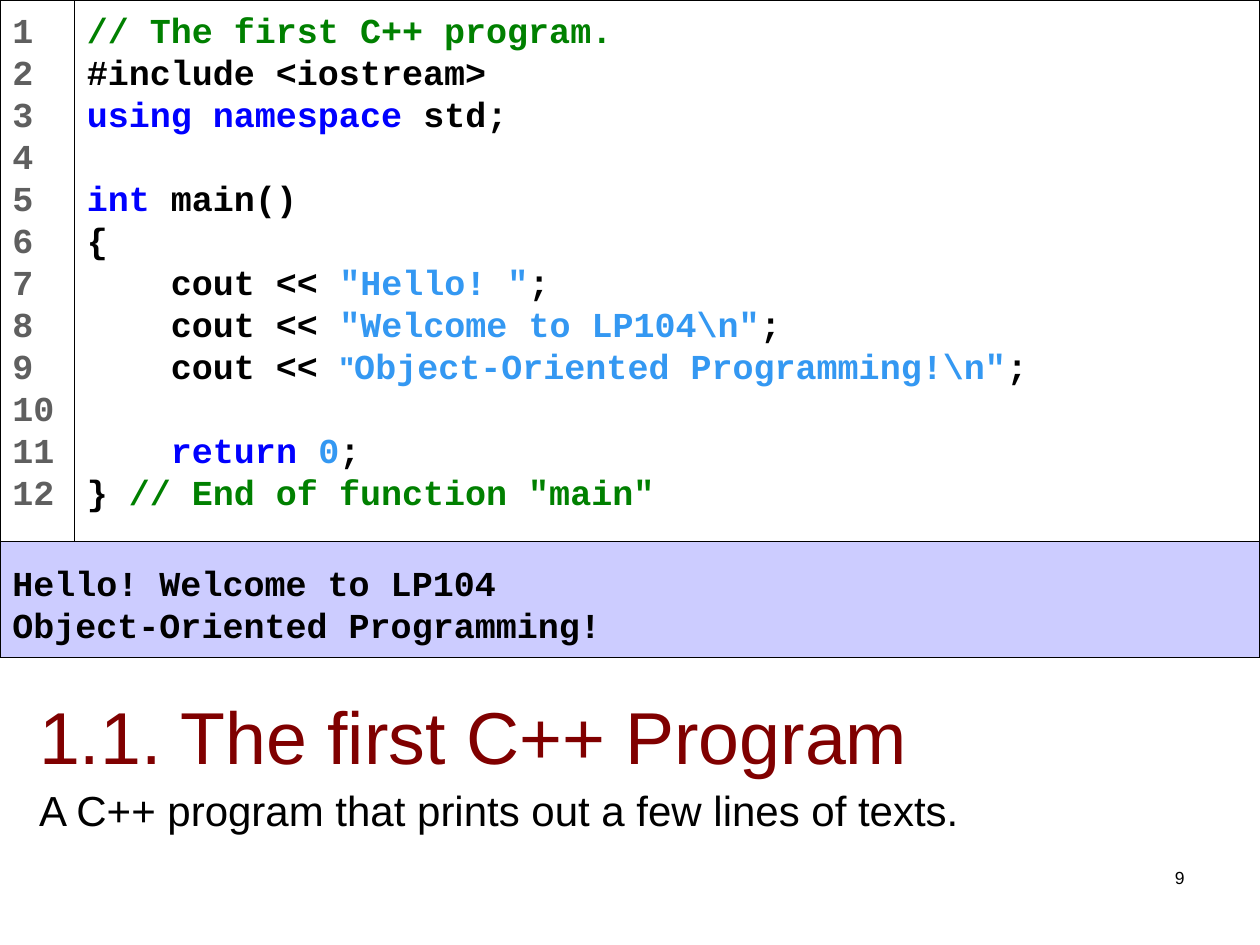
from lxml import etree
from pptx import Presentation
from pptx.dml.color import RGBColor
from pptx.enum.shapes import MSO_SHAPE
from pptx.enum.text import MSO_ANCHOR, PP_ALIGN
from pptx.oxml.ns import qn
from pptx.util import Inches, Pt

RECTANGLE = MSO_SHAPE.RECTANGLE
TOP = MSO_ANCHOR.TOP
LEFT, RIGHT = PP_ALIGN.LEFT, PP_ALIGN.RIGHT

BLACK = RGBColor(0, 0, 0)
WHITE = RGBColor(255, 255, 255)
GREEN = RGBColor(0, 0x80, 0)
BLUE = RGBColor(0, 0, 255)
SKY = RGBColor(0x34, 0x98, 0xF2)
GRAY = RGBColor(0x5F, 0x5F, 0x5F)
LAVENDER = RGBColor(0xCC, 0xCC, 0xFF)
MAROON = RGBColor(0x80, 0, 0)

PAGE_WIDTH, PAGE_HEIGHT = 10, 7.5
GUTTER = 0.59
CODE_HEIGHT, OUTPUT_HEIGHT = 4.3, 0.92

CODE = [
    [("// The first C++ program.", GREEN)],
    [("#include <iostream>", BLACK)],
    [("using namespace", BLUE), (" std;", BLACK)],
    [],
    [("int", BLUE), (" main()", BLACK)],
    [("{", BLACK)],
    [("    cout << ", BLACK), ('"Hello! "', SKY), (";", BLACK)],
    [("    cout << ", BLACK), ('"Welcome to LP104\\n"', SKY), (";", BLACK)],
    [("    cout << ", BLACK), ('"', SKY, "Arial", 18),
     ('Object-Oriented Programming!\\n"', SKY), (";", BLACK)],
    [],
    [("    ", BLACK), ("return ", BLUE), ("0", SKY), (";", BLACK)],
    [("} ", BLACK), ('// End of function "main"', GREEN)],
]
OUTPUT = ["Hello! Welcome to LP104", "Object-Oriented Programming!"]


def set_font(font, name, size, color=BLACK, bold=False):
    font.name, font.size, font.bold = name, Pt(size), bold
    font.color.rgb = color


def set_frame(frame, left=0.1, top=0.05, right=0.1, bottom=0.05):
    frame.word_wrap = True
    frame.vertical_anchor = TOP
    frame.margin_left, frame.margin_top = Inches(left), Inches(top)
    frame.margin_right, frame.margin_bottom = Inches(right), Inches(bottom)


def add_paragraph(frame, index):
    return frame.add_paragraph() if index else frame.paragraphs[0]


def add_listing(slide, box, lines, fill, color=BLACK, **margins):
    """Draw a framed panel of monospaced lines, each a list of spans."""
    panel = slide.shapes.add_shape(RECTANGLE, *map(Inches, box))
    panel.shadow.inherit = False
    panel.fill.solid()
    panel.fill.fore_color.rgb = fill
    panel.line.color.rgb = BLACK
    panel.line.width = Pt(0.75)
    set_frame(panel.text_frame, **margins)
    for index, line in enumerate(lines):
        para = add_paragraph(panel.text_frame, index)
        para.alignment = LEFT
        para.line_spacing = Pt(24)
        set_font(para.font, "Courier New", 20, color, True)
        for text, span_color, *face in line:
            span = para.add_run()
            span.text = text
            span.font.color.rgb = span_color
            if face:
                span.font.name, span.font.size = face[0], Pt(face[1])


def add_program(slide, left, top, width):
    """Stack numbered source code above the output it prints."""
    numbers = [[(str(number), GRAY)] for number in range(1, len(CODE) + 1)]
    output = [[(text, BLACK)] for text in OUTPUT]
    add_listing(slide, (left + GUTTER, top, width - GUTTER, CODE_HEIGHT),
                CODE, WHITE, top=0.07)
    add_listing(slide, (left, top, GUTTER, CODE_HEIGHT),
                numbers, WHITE, GRAY, top=0.07, right=0)
    add_listing(slide, (left, top + CODE_HEIGHT, width, OUTPUT_HEIGHT),
                output, LAVENDER, top=0.16, bottom=0.1)


def add_caption(slide, box):
    slide.shapes.title.element.getparent().remove(slide.shapes.title.element)
    body = slide.placeholders[1]
    body.left, body.top, body.width, body.height = map(Inches, box)
    set_frame(body.text_frame)
    rows = [("1.1. The first C++ Program", 42, MAROON),
            ("A C++ program that prints out a few lines of texts.", 24, BLACK)]
    for index, (text, size, color) in enumerate(rows):
        para = add_paragraph(body.text_frame, index)
        para.text = text
        properties = para._p.get_or_add_pPr()
        properties.set("marL", "0")
        properties.set("indent", "0")
        etree.SubElement(properties, qn("a:buNone"))
        para.line_spacing = 0.9
        para.space_before = Pt(6 if index else 0)
        set_font(para.font, "Arial", size, color)


def add_page_number(slide, box, number):
    frame = slide.shapes.add_textbox(*map(Inches, box)).text_frame
    set_frame(frame)
    para = frame.paragraphs[0]
    para.text = str(number)
    para.alignment = RIGHT
    set_font(para.font, "Arial", 10)


def main():
    deck = Presentation()
    deck.slide_width, deck.slide_height = Inches(PAGE_WIDTH), Inches(PAGE_HEIGHT)
    page = deck.slides.add_slide(deck.slide_layouts[1])
    add_program(page, 0, 0, PAGE_WIDTH)
    add_caption(page, (0.21, 5.51, 9.49, 1.22))
    add_page_number(page, (7.17, 6.83, 2.33, 0.5), 9)
    deck.save("out.pptx")


if __name__ == "__main__":
    main()
